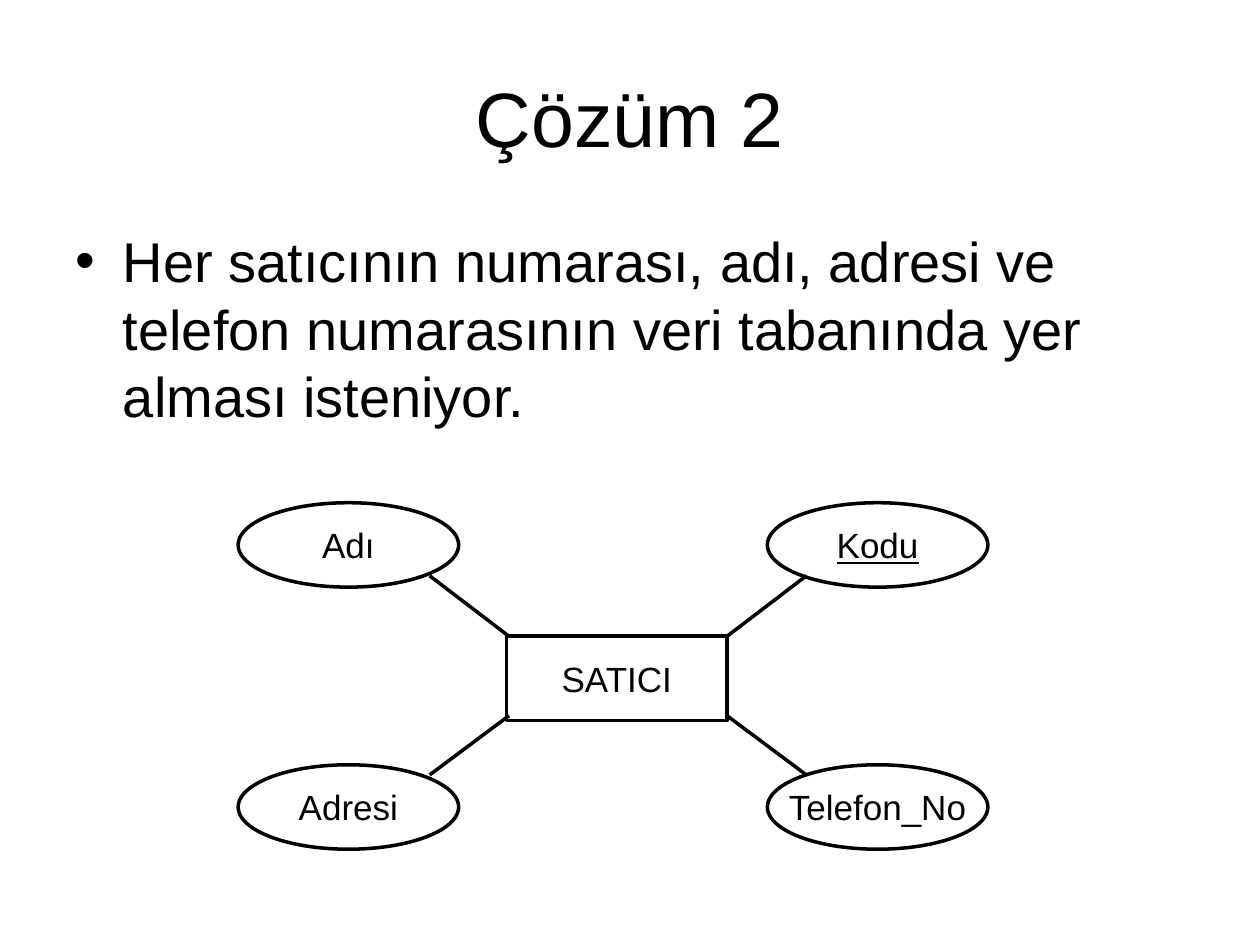
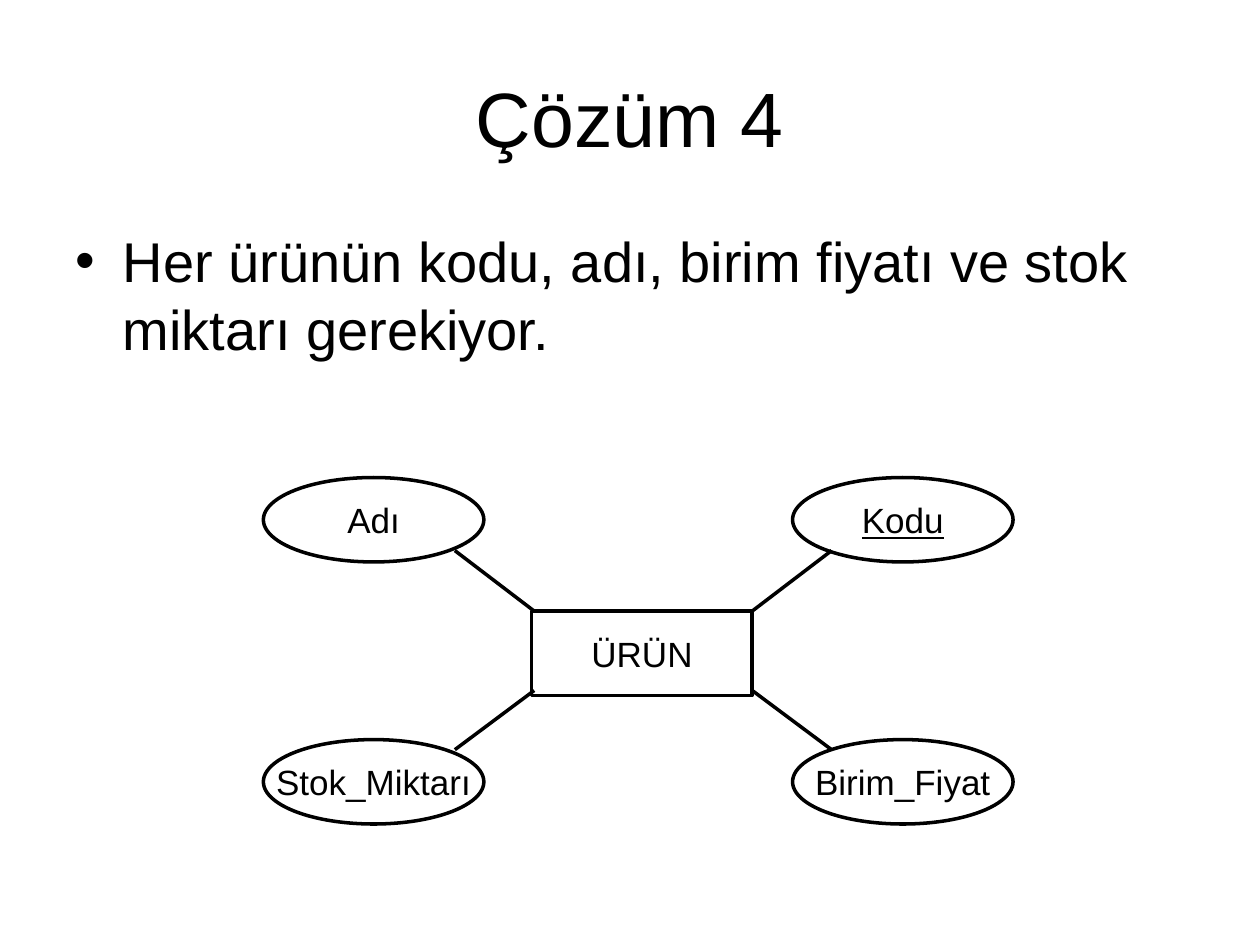
from lxml import etree
from pptx import Presentation
from pptx.dml.color import RGBColor
from pptx.enum.shapes import MSO_CONNECTOR, MSO_SHAPE
from pptx.enum.text import MSO_ANCHOR, MSO_AUTO_SIZE, PP_ALIGN
from pptx.oxml.ns import qn
from pptx.util import Inches, Pt

RECT, OVAL = MSO_SHAPE.RECTANGLE, MSO_SHAPE.OVAL
LINE = MSO_CONNECTOR.STRAIGHT
MIDDLE, TOP = MSO_ANCHOR.MIDDLE, MSO_ANCHOR.TOP
CENTER, LEFT = PP_ALIGN.CENTER, PP_ALIGN.LEFT
FIXED = MSO_AUTO_SIZE.NONE

COLORS = {"ink": "000000", "paper": "FFFFFF"}
FONT = "Arial"
TITLE_BOX = (0.5, 0.3, 9, 1.25)
BODY_BOX = (0.5, 1.75, 9, 2.47)
NODE = (1.75, 0.67)

# Diagram layout, measured from its top left corner
ENTITY = (2.13, 1.06)
CORNERS = [(0, 0), (4.2, 0), (0, 2.08), (4.2, 2.08)]
LINKS = [
    ((1.52, 0.58), (2.15, 1.06)),
    ((4.51, 0.58), (3.88, 1.06)),
    ((2.15, 1.69), (1.52, 2.16)),
    ((3.88, 1.69), (4.51, 2.16)),
]

# Title, text, entity, attributes (clockwise rows), diagram origin
SLIDES = [
    ("Çözüm 2",
     "Her satıcının numarası, adı, adresi ve telefon numarasının "
     "veri tabanında yer alması isteniyor.",
     "SATICI", ["Adı", "Kodu", "Adresi", "Telefon_No"], (1.89, 3.99)),
    ("Çözüm 4",
     "Her ürünün kodu, adı, birim fiyatı ve stok miktarı gerekiyor.",
     "ÜRÜN", ["Adı", "Kodu", "Stok_Miktarı", "Birim_Fiyat"], (2.09, 3.79)),
]
KEY = "Kodu"


def color(name):
    return RGBColor.from_string(COLORS[name])


def style(para, size, align):
    para.alignment = align
    para.space_before = Pt(0)
    font = para.font
    font.name, font.size = FONT, Pt(size)
    font.color.rgb = color("ink")


def fill_holder(holder, box, text, size, align, anchor):
    holder.left, holder.top, holder.width, holder.height = map(Inches, box)
    frame = holder.text_frame
    frame.text = text
    frame.auto_size = FIXED
    frame.vertical_anchor = anchor
    style(frame.paragraphs[0], size, align)


def add_node(slide, kind, left, top, text):
    node = slide.shapes.add_shape(kind, *map(Inches, (left, top, *NODE)))
    node.shadow.inherit = False
    node.fill.background()
    node.line.color.rgb = color("ink")
    node.line.width = Pt(2)
    frame = node.text_frame
    frame.text = text
    frame.word_wrap = False
    frame.vertical_anchor = MIDDLE
    para = frame.paragraphs[0]
    style(para, 20, CENTER)
    if text == KEY:
        para.font.underline = True


def add_link(slide, start, end):
    link = slide.shapes.add_connector(LINE, *map(Inches, (*start, *end)))
    link.line.color.rgb = color("ink")
    link.line.width = Pt(2)
    etree.SubElement(link._element.spPr, qn("a:effectLst"))


def add_diagram(slide, origin, entity, attrs):
    def place(point):
        return origin[0] + point[0], origin[1] + point[1]

    add_node(slide, RECT, *place(ENTITY), entity)
    for corner, attr in zip(CORNERS, attrs):
        add_node(slide, OVAL, *place(corner), attr)
    for start, end in LINKS:
        add_link(slide, place(start), place(end))


def add_slide(deck, title, text, entity, attrs, origin):
    slide = deck.slides.add_slide(deck.slide_layouts[1])
    slide.background.fill.solid()
    slide.background.fill.fore_color.rgb = color("paper")
    # Title and bulleted text
    fill_holder(slide.shapes.title, TITLE_BOX, title, 44, CENTER, MIDDLE)
    fill_holder(slide.placeholders[1], BODY_BOX, text, 32, LEFT, TOP)
    # Entity with its attributes
    add_diagram(slide, origin, entity, attrs)


def main():
    deck = Presentation()
    deck.slide_width, deck.slide_height = Inches(10), Inches(7.5)
    for item in SLIDES:
        add_slide(deck, *item)
    deck.save("out.pptx")


if __name__ == "__main__":
    main()
